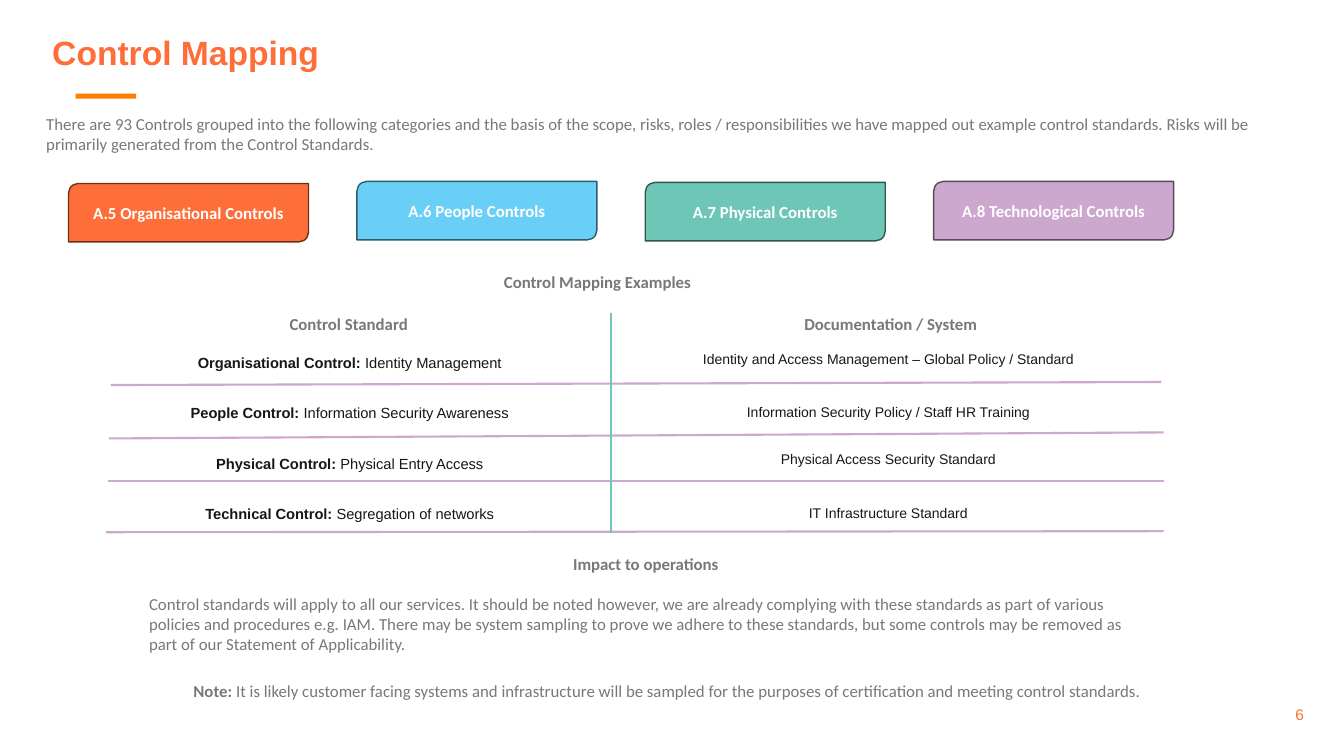
from lxml import etree
from pptx import Presentation
from pptx.dml.color import RGBColor
from pptx.enum import shapes, text
from pptx.oxml import ns
from pptx.util import Inches, Pt

TITLE = "Control Mapping"
PAGE = "6"
INTRO = (
    "There are 93 Controls grouped into the following categories and the basis of the scope, "
    "risks, roles / responsibilities we have mapped out example control standards. "
    "Risks will be primarily generated from the Control Standards."
)
# label, fill, outline, top
CATEGORIES = [
    ("A.5 Organisational Controls", "FD6E39", "6F3019", 1.82),
    ("A.6 People Controls", "69CFF6", "2E5B6C", 1.8),
    ("A.7 Physical Controls", "6EC7B6", "305750", 1.81),
    ("A.8 Technological Controls", "CCA7CE", "59495A", 1.8),
]
# heading, left, top, width, alignment
HEADINGS = [
    ("Control Mapping Examples", 4.9, 2.65, 7.76, "left"),
    ("Control Standard", 2.53, 3.06, 1.86, "center"),
    ("Documentation / System", 7.77, 3.06, 2.13, "center"),
]
# control type, control, document, document top, rule from, rule to
MAPPINGS = [
    ("Organisational Control: ", "Identity Management",
     "Identity and Access Management – Global Policy / Standard",
     3.39, (1.1, 3.82), (11.52, 3.79)),
    ("People Control: ", "Information Security Awareness",
     "Information Security Policy / Staff HR Training",
     3.91, (1.08, 4.35), (11.54, 4.29)),
    ("Physical Control: ", "Physical Entry Access",
     "Physical Access Security Standard",
     4.38, (1.07, 4.77), (11.54, 4.77)),
    ("Technical Control: ", "Segregation of networks",
     "IT Infrastructure Standard",
     4.91, (1.05, 5.28), (11.54, 5.27)),
]
IMPACT_HEADING = "Impact to operations"
IMPACT = (
    "Control standards will apply to all our services. It should be noted however, we are already "
    "complying with these standards as part of various policies and procedures e.g. IAM. "
    "There may be system sampling to prove we adhere to these standards, but some controls "
    "may be removed as part of our Statement of Applicability."
)
NOTE = (
    "It is likely customer facing systems and infrastructure will be sampled for the purposes "
    "of certification and meeting control standards."
)

THEME = {
    "accent": "FD6E39", "bar": "FF7C00", "grey": "787878", "ink": "181717",
    "white": "FFFFFF", "rule": "CCA7CE", "divider": "6EC7B6",
    "head_font": "Arial", "body_font": "Calibri",
    "title": 24, "body": 12, "page": 11, "control": 10.5, "document": 10,
}
ALIGN = {
    "left": text.PP_ALIGN.LEFT,
    "center": text.PP_ALIGN.CENTER,
    "right": text.PP_ALIGN.RIGHT,
}
MIDDLE = text.MSO_ANCHOR.MIDDLE


def rgb(value):
    return RGBColor.from_string(value)


def write(p, runs, size="body", font="body_font", color="grey", align="left"):
    """Fill a paragraph with (words, bold) runs in theme styles."""
    p.alignment = ALIGN[align]
    for words, bold in runs:
        r = p.add_run()
        r.text = words
        r.font.name = THEME[font]
        r.font.size = Pt(THEME[size])
        r.font.bold = bold
        r.font.color.rgb = rgb(THEME[color])


def add_box(slide, box, runs, anchor=text.MSO_ANCHOR.TOP, **style):
    s = slide.shapes.add_textbox(*map(Inches, box))
    tf = s.text_frame
    tf.word_wrap = True
    tf.vertical_anchor = anchor
    write(tf.paragraphs[0], runs, **style)
    return tf


def add_block(slide, kind, box, fill, outline=None):
    s = slide.shapes.add_shape(kind, *map(Inches, box))
    s.shadow.inherit = False
    s.fill.solid()
    s.fill.fore_color.rgb = rgb(fill)
    if outline:
        s.line.color.rgb = rgb(outline)
        s.line.width = Pt(1)
    else:
        s.line.fill.background()
    tf = s.text_frame
    tf.word_wrap = True
    tf.vertical_anchor = MIDDLE
    return tf


def add_cell(slide, left, top, runs, size):
    tf = add_block(slide, shapes.MSO_SHAPE.ROUNDED_RECTANGLE,
                   (left, top, 5.16, 0.35), THEME["white"])
    tf.margin_top = tf.margin_bottom = Inches(0.04)
    write(tf.paragraphs[0], runs, size, "head_font", "ink", "center")


def add_line(slide, start, end, color):
    c = slide.shapes.add_connector(shapes.MSO_CONNECTOR.STRAIGHT,
                                   *map(Inches, start + end))
    c.line.color.rgb = rgb(color)
    c.line.width = Pt(1.5)
    etree.SubElement(c._element.spPr, ns.qn("a:effectLst"))


def main():
    prs = Presentation()
    prs.slide_width, prs.slide_height = Inches(13.33), Inches(7.5)
    slide = prs.slides.add_slide(prs.slide_layouts[6])

    add_block(slide, shapes.MSO_SHAPE.RECTANGLE, (0.75, 0.93, 0.6, 0.05), THEME["bar"])
    title = add_box(slide, (0.42, 0.27, 7.94, 0.5), [(TITLE, True)],
                    text.MSO_ANCHOR.BOTTOM, size="title", font="head_font", color="accent")
    title.paragraphs[0].line_spacing = 0.9
    add_box(slide, (12.19, 6.89, 0.84, 0.4), [(PAGE, False)], MIDDLE,
            size="page", font="head_font", color="accent", align="right")
    add_box(slide, (0.36, 1.08, 12.61, 0.71), [(INTRO, False)])

    for i, (label, fill, outline, top) in enumerate(CATEGORIES):
        tf = add_block(slide, shapes.MSO_SHAPE.ROUND_2_DIAG_RECTANGLE,
                       (0.68 + 2.86 * i, top, 2.38, 0.58), fill, outline)
        write(tf.paragraphs[0], [(label, True)], color="white", align="center")

    for heading, left, top, width, align in HEADINGS:
        add_box(slide, (left, top, width, 0.3), [(heading, True)], align=align)

    for i, (kind, control, document, top, _, _) in enumerate(MAPPINGS):
        add_cell(slide, 0.89, 3.42 + 0.5 * i, [(kind, True), (control, False)], "control")
        add_cell(slide, 6.23, top, [(document, False)], "document")
    for *_, start, end in MAPPINGS:
        add_line(slide, start, end, THEME["rule"])
    add_line(slide, (6.06, 3.11), (6.06, 5.29), THEME["divider"])

    impact = add_box(slide, (1.38, 5.44, 10.05, 1.11), [(IMPACT_HEADING, True)],
                     align="center")
    p = impact.add_paragraph()
    p.space_before = Pt(14.5)
    write(p, [(IMPACT, False)])
    add_box(slide, (1.82, 6.7, 10.85, 0.3), [("Note: ", True), (NOTE, False)])

    prs.save("out.pptx")


if __name__ == "__main__":
    main()
